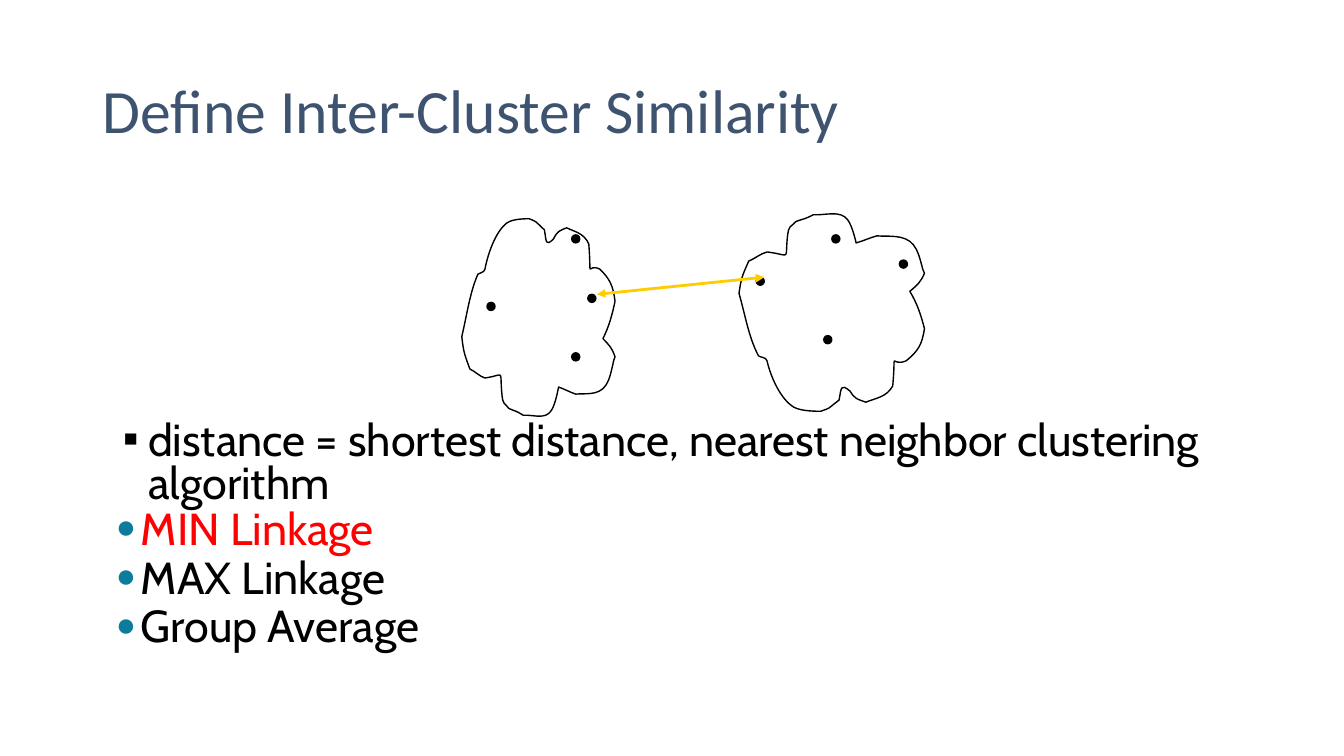
"""Build a slide on nearest-neighbour (MIN) linkage between two clusters."""
from lxml import etree
from pptx import Presentation
from pptx import util as u
from pptx.dml.color import RGBColor
from pptx.enum import shapes, text
from pptx.oxml.ns import qn

TITLE = "Define Inter-Cluster Similarity"
BLACK, RED, TEAL, GOLD, NAVY = "000000", "FF0000", "0C7B9C", "FFCC00", "3E5370"

SQUARE = dict(char="▪", tint=BLACK, size=100, left=0.45, gap=0)
ROUND = dict(char="●", tint=TEAL, size=75, left=0.38, gap=2)
LINES = [
    ("distance = shortest distance, nearest neighbor clustering algorithm", BLACK, SQUARE),
    ("MIN Linkage", RED, ROUND),
    ("MAX Linkage", BLACK, ROUND),
    ("Group Average", BLACK, ROUND),
]

START = (4.74, 2.72)
CURVES = [
    ((4.66, 2.9), (4.63, 3.13), (4.58, 3.34)),
    ((4.6, 3.51), (4.61, 3.52), (4.66, 3.66)),
    ((4.72, 3.69), (4.75, 3.73), (4.81, 3.75)),
    ((5.02, 3.72), (4.95, 3.65), (4.98, 3.93)),
    ((4.98, 3.96), (4.99, 3.98), (5, 4)),
    ((5.07, 4.07), (5.02, 4.04), (5.09, 4.07)),
    ((5.13, 4.08), (5.19, 4.12), (5.19, 4.12)),
    ((5.28, 4.11), (5.41, 4.17), (5.47, 4.07)),
    ((5.51, 4.01), (5.54, 3.84), (5.54, 3.84)),
    ((5.6, 3.86), (5.65, 3.89), (5.71, 3.91)),
    ((5.8, 3.9), (5.94, 3.93), (6.01, 3.82)),
    ((6.05, 3.76), (6.06, 3.69), (6.08, 3.61)),
    ((6.08, 3.59), (6.1, 3.54), (6.1, 3.54)),
    ((6.07, 3.45), (6.04, 3.42), (5.98, 3.36)),
    ((6.04, 3.24), (6.07, 3.13), (6.1, 2.99)),
    ((6.08, 2.83), (6.05, 2.77), (5.95, 2.67)),
    ((5.81, 2.6), (5.87, 2.82), (5.84, 2.42)),
    ((5.79, 2.31), (5.7, 2.3), (5.62, 2.26)),
    ((5.55, 2.29), (5.53, 2.29), (5.49, 2.37)),
    ((5.41, 2.45), (5.42, 2.4), (5.4, 2.28)),
    ((5.29, 2.18), (5.34, 2.21), (5.25, 2.17)),
    ((5.21, 2.17), (5.09, 2.17), (5.03, 2.21)),
    ((4.92, 2.29), (4.84, 2.51), (4.81, 2.67)),
    ((4.8, 2.71), (4.76, 2.7), (4.74, 2.72)),
]
DOT = 0.08
LEFT_DOTS = [(5.67, 3.5), (5.67, 2.33), (4.83, 3), (5.83, 2.92)]
RIGHT_DOTS = [(8.92, 2.58), (8.17, 3.33), (7.5, 2.75), (8.25, 2.33)]
NEAREST = (5.92, 2.92, 7.58, 2.75)


def color(code):
    return RGBColor.from_string(code)


def keep(x, y):
    return u.Inches(x), u.Inches(y)


def mirror(x, y):
    return keep(7.33 + (x - 4.58) * 1.21, 6.25 - y)


def outline(shape):
    shape.shadow.inherit = False
    shape.line.color.rgb = color(BLACK)
    shape.line.width = u.Pt(1)


def bend(blob, place):
    sides = list(blob._element.iter(qn("a:lnTo")))
    for side, curve in zip(sides, CURVES):
        arc = etree.Element(qn("a:cubicBezTo"))
        for spot in curve:
            x, y = place(*spot)
            etree.SubElement(arc, qn("a:pt"), x=str(x - blob.left), y=str(y - blob.top))
        side.getparent().replace(side, arc)


def add_cluster(slide, place, dots):
    pen = slide.shapes.build_freeform(*place(*START))
    pen.add_line_segments([place(*curve[-1]) for curve in CURVES], close=True)
    blob = pen.convert_to_shape()
    bend(blob, place)
    blob.fill.background()
    outline(blob)
    for x, y in dots:
        dot = slide.shapes.add_shape(shapes.MSO_SHAPE.OVAL, *map(u.Inches, (x, y, DOT, DOT)))
        dot.fill.solid()
        dot.fill.fore_color.rgb = color(BLACK)
        outline(dot)


def add_arrow(slide):
    arrow = slide.shapes.add_connector(shapes.MSO_CONNECTOR.STRAIGHT, *map(u.Inches, NEAREST))
    arrow.line.color.rgb = color(GOLD)
    arrow.line.width = u.Pt(2)
    props = arrow._element.spPr
    line = props.find(qn("a:ln"))
    for end in ("a:headEnd", "a:tailEnd"):
        etree.SubElement(line, qn(end), type="triangle")
    etree.SubElement(props, qn("a:effectLst"))


def add_frame(slide, top, height, anchor):
    frame = slide.shapes.add_textbox(*map(u.Inches, (0.92, top, 11.5, height))).text_frame
    frame.word_wrap = True
    frame.vertical_anchor = anchor
    return frame


def style(para, words, font, size, code, pitch):
    para.text = words
    para.line_spacing = pitch
    para.font.name = font
    para.font.size = u.Pt(size)
    para.font.color.rgb = color(code)


def add_bullet(para, char, tint, size, left, gap):
    para.space_before = para.space_after = u.Pt(gap)
    props = para._p.get_or_add_pPr()
    props.set("marL", str(u.Inches(left)))
    props.set("indent", str(u.Inches(-0.25)))
    marks = [
        etree.Element(qn("a:buClr")),
        etree.Element(qn("a:buSzPct"), val=str(size * 1000)),
        etree.Element(qn("a:buFont"), typeface="Arial"),
        etree.Element(qn("a:buChar"), char=char),
    ]
    etree.SubElement(marks[0], qn("a:srgbClr"), val=tint)
    rest = props.find(qn("a:defRPr"))
    for mark in marks:
        rest.addprevious(mark)


def main():
    deck = Presentation()
    deck.slide_width, deck.slide_height = u.Inches(13.33), u.Inches(7.5)
    slide = deck.slides.add_slide(deck.slide_layouts[6])

    title = add_frame(slide, 0.4, 1.45, text.MSO_ANCHOR.MIDDLE)
    style(title.paragraphs[0], TITLE, "Calibri", 44, NAVY, 0.9)

    body = add_frame(slide, 4.14, 2.62, text.MSO_ANCHOR.TOP)
    for i, (words, code, bullet) in enumerate(LINES):
        para = body.add_paragraph() if i else body.paragraphs[0]
        style(para, words, "Cabin", 32, code, 0.8)
        add_bullet(para, **bullet)

    add_cluster(slide, keep, LEFT_DOTS)
    add_cluster(slide, mirror, RIGHT_DOTS)
    add_arrow(slide)
    deck.save("out.pptx")


if __name__ == "__main__":
    main()
